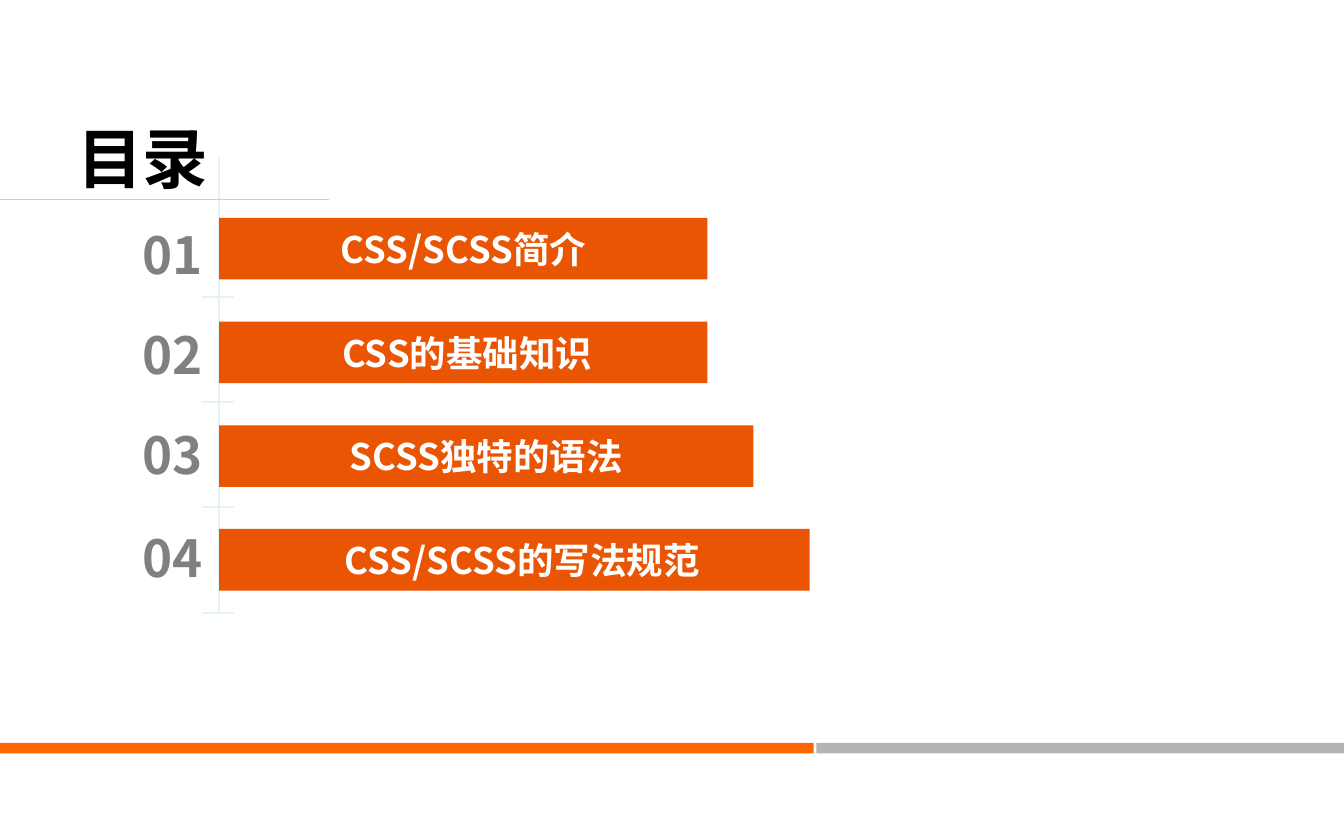
import pptx
import pptx.dml.color
import pptx.enum.shapes
import pptx.enum.text
import pptx.util
from lxml import etree
from pptx.oxml.ns import qn

PX = 9144  # EMU per px, 100 px to the inch
FONT = "Noto Sans CJK SC"
ALIGN = pptx.enum.text.PP_ALIGN
RECTANGLE = pptx.enum.shapes.MSO_SHAPE.RECTANGLE
STRAIGHT = pptx.enum.shapes.MSO_CONNECTOR.STRAIGHT


def color(hex_string):
    return pptx.dml.color.RGBColor.from_string(hex_string)


def write(shape, text, size, hex_string, align):
    """Put one bold line of text, Latin and Chinese in the same font, into a shape."""
    shape.text_frame.word_wrap = True
    paragraph = shape.text_frame.paragraphs[0]
    paragraph.text = text
    paragraph.alignment = align
    font = paragraph.font
    font.name, font.size, font.bold = FONT, pptx.util.Pt(size), True
    font.color.rgb = color(hex_string)
    latin = paragraph._p.pPr.find(qn("a:defRPr")).find(qn("a:latin"))
    east_asian = etree.Element(qn("a:ea"), typeface=FONT)
    latin.addnext(east_asian)
    return paragraph


prs = pptx.Presentation()
prs.slide_width, prs.slide_height = 1024 * PX, 630 * PX
shapes = prs.slides.add_slide(prs.slide_layouts[6]).shapes

# Lines: timeline, one tick below each entry, rule under the title
lines = [(167, 120, 167, 467, "E4F3F4")]
for row in range(4):
    tick_y = 226 + row * 241 // 3
    lines.append((154, tick_y, 178, tick_y, "E4F3F4"))
lines.append((0, 152, 251, 152, "CFCFCF"))
for x1, y1, x2, y2, stroke in lines:
    line = shapes.add_connector(STRAIGHT, x1 * PX, y1 * PX, x2 * PX, y2 * PX)
    line.line.color.rgb = color(stroke)
    line.line.width = pptx.util.Pt(1)
    etree.SubElement(line._element.spPr, qn("a:effectLst"))

# Rectangles: footer bands, then one bar per entry, with its text and text shift
bars = [
    (0, 566, 620, 8, "FF6600", "", 0),
    (622, 566, 402, 8, "B3B3B3", "", 0),
]
entries = [
    ("CSS/SCSS简介", 372, 0),
    ("CSS的基础知识", 372, 6),
    ("SCSS独特的语法", 407, 0),
    ("CSS/SCSS的写法规范", 450, 12),
]
for row, (topic, width, shift) in enumerate(entries):
    bars.append((167, 166 + 79 * row, width, 47, "EA5504", topic, shift))
for left, top, width, height, fill, topic, shift in bars:
    bar = shapes.add_shape(RECTANGLE, left * PX, top * PX, width * PX, height * PX)
    bar.shadow.inherit = False
    bar.fill.solid()
    bar.fill.fore_color.rgb = color(fill)
    bar.line.fill.background()
    if topic:
        bar.text_frame.margin_left = (10 + shift) * PX
        write(bar, topic, 20, "FFFFFF", ALIGN.CENTER)

for number, top in enumerate((156, 232, 308, 387), start=1):
    label = shapes.add_textbox(62 * PX, top * PX, 102 * PX, 57 * PX)
    write(label, f"{number:02}", 28, "808080", ALIGN.RIGHT).line_spacing = 1.2

title = shapes.add_textbox(49 * PX, 85 * PX, 129 * PX, 59 * PX)
write(title, "目录", 36, "000000", ALIGN.LEFT)

prs.save("out.pptx")
